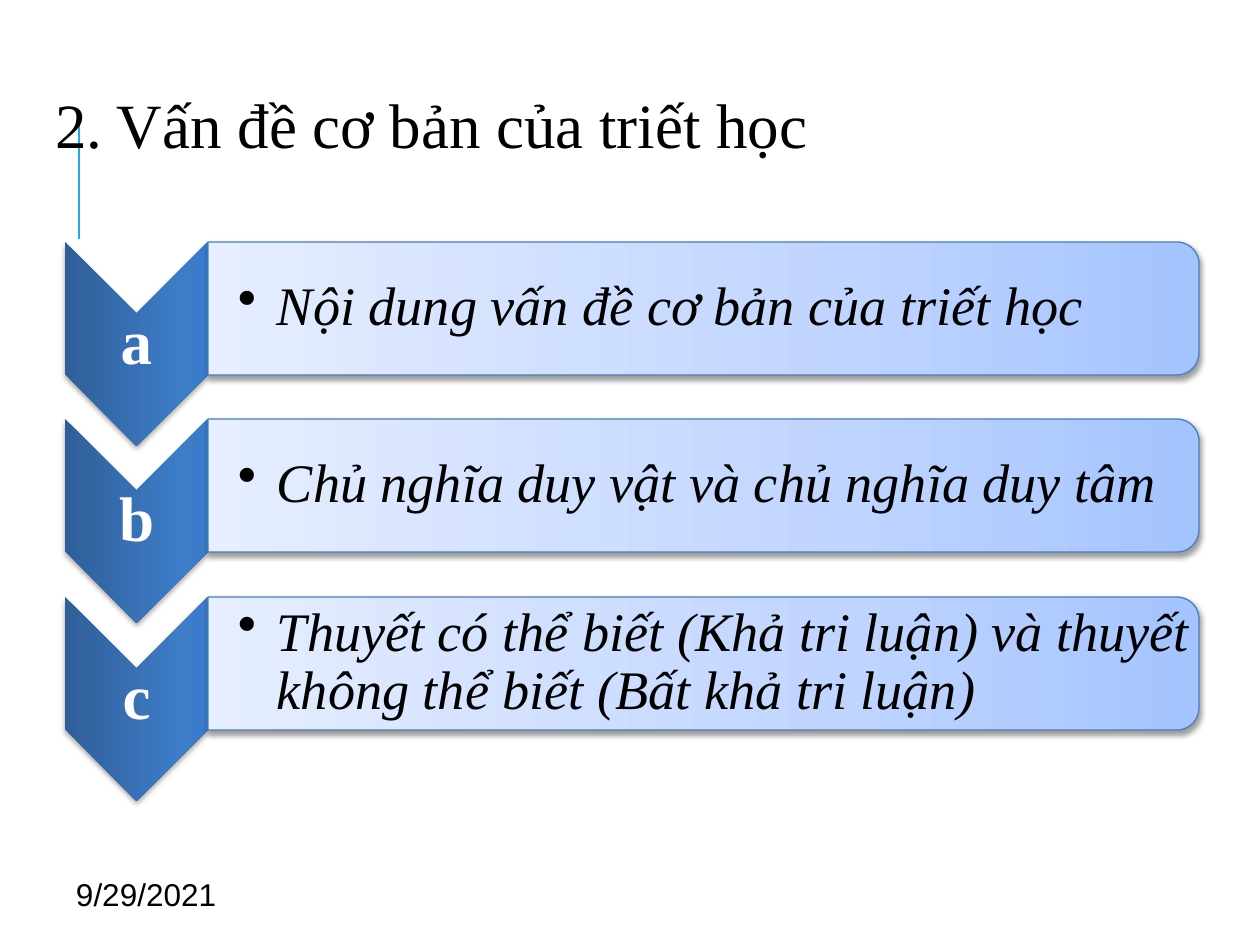
from lxml.etree import SubElement
from pptx import Presentation
from pptx.dml.color import RGBColor
from pptx.enum.shapes import MSO_CONNECTOR, MSO_SHAPE
from pptx.enum.text import MSO_ANCHOR, PP_ALIGN
from pptx.oxml import parse_xml
from pptx.oxml.ns import nsdecls, qn
from pptx.util import Pt

EMU_PER_PX = 914400 / 126
COLORS = {
    "text": "000000",
    "letter": "FFFFFF",
    "accent": "1CADE4",
    "bar_line": "4B7EBC",
    "shadow": "000000",
}
CHEVRON_STOPS = [(0, "2F5F99"), (80, "3D7CC7"), (100, "3A7CCB")]
BAR_STOPS = [(0, "A4C4FF"), (35, "BFD4FF"), (100, "E6EEFF")]
TOPICS = [
    ("a", "Nội dung vấn đề cơ bản của triết học"),
    ("b", "Chủ nghĩa duy vật và chủ nghĩa duy tâm"),
    ("c", "Thuyết có thể biết (Khả tri luận) và thuyết không thể biết (Bất khả tri luận)"),
]


def px(*lengths):
    return [round(length * EMU_PER_PX) for length in lengths]


class SlideBuilder:
    def __init__(self, slide, font="Times New Roman"):
        self.slide = slide
        self.font = font

    def line(self, x1, y1, x2, y2, color, width):
        connector = self.slide.shapes.add_connector(
            MSO_CONNECTOR.STRAIGHT, *px(x1, y1, x2, y2)
        )
        connector.line.color.rgb = RGBColor.from_string(COLORS[color])
        connector.line.width = Pt(width)
        SubElement(connector._element.spPr, qn("a:effectLst"))

    def text(self, box, text, size, color="text", font=None, bold=False, italic=False,
             align=PP_ALIGN.LEFT, margins=(13, 6, 13, 6), spacing=0.9, hanging=0):
        shape = self.slide.shapes.add_textbox(*px(*box))
        frame = shape.text_frame
        frame.word_wrap = True
        frame.vertical_anchor = MSO_ANCHOR.MIDDLE
        (frame.margin_left, frame.margin_top,
         frame.margin_right, frame.margin_bottom) = px(*margins)
        paragraph = frame.paragraphs[0]
        paragraph.text = text
        paragraph.alignment = align
        paragraph.line_spacing = spacing
        if hanging:
            indent = px(hanging)[0]
            properties = paragraph._p.get_or_add_pPr()
            properties.set("marL", str(indent))
            properties.set("indent", str(-indent))
            SubElement(properties, qn("a:buChar"), char="•")
        paragraph.font.name = font or self.font
        paragraph.font.size = Pt(size)
        paragraph.font.bold = bold
        paragraph.font.italic = italic
        paragraph.font.color.rgb = RGBColor.from_string(COLORS[color])

    def turned_shape(self, kind, box, stops, angle, shadow_alpha, line=None):
        left, top, width, height = box
        shift = (width - height) / 2
        shape = self.slide.shapes.add_shape(
            kind, *px(left + shift, top - shift, height, width)
        )
        shape.rotation = 90
        if line:
            shape.line.color.rgb = RGBColor.from_string(COLORS[line])
            shape.line.width = Pt(0.75)
        else:
            shape.line.fill.background()
        self.gradient(shape, stops, angle)
        self.shadow(shape, shadow_alpha)

    def gradient(self, shape, stops, angle):
        stop_xml = "".join(
            f'<a:gs pos="{position * 1000}"><a:srgbClr val="{color}"/></a:gs>'
            for position, color in stops
        )
        fill = parse_xml(
            f'<a:gradFill {nsdecls("a")} rotWithShape="1"><a:gsLst>{stop_xml}</a:gsLst>'
            f'<a:lin ang="{angle * 60000}" scaled="0"/></a:gradFill>'
        )
        shape._element.spPr.find(qn("a:prstGeom")).addnext(fill)

    def shadow(self, shape, alpha):
        shape.shadow.inherit = False
        effects = shape._element.spPr.find(qn("a:effectLst"))
        outer = SubElement(effects, qn("a:outerShdw"), blurRad="40000", dist="22000",
                           dir="5400000", rotWithShape="0")
        color = SubElement(outer, qn("a:srgbClr"), val=COLORS["shadow"])
        SubElement(color, qn("a:alpha"), val=str(alpha * 1000))

    def topic(self, top, letter, text):
        self.turned_shape(MSO_SHAPE.CHEVRON, (65, top, 143, 204), CHEVRON_STOPS, 270, 35)
        self.text((65, top + 71, 143, 62), letter, 36, "letter", bold=True,
                  align=PP_ALIGN.CENTER, margins=(4, 4, 4, 4))
        self.turned_shape(MSO_SHAPE.ROUND_2_SAME_RECTANGLE, (208, top, 991, 133),
                          BAR_STOPS, 90, 38, "bar_line")
        self.text((208, top + 6, 984, 120), text, 31, italic=True,
                  margins=(30, 2, 2, 2), hanging=39)


def main():
    presentation = Presentation()
    presentation.slide_width, presentation.slide_height = px(1260, 945)
    slide = presentation.slides.add_slide(presentation.slide_layouts[6])
    builder = SlideBuilder(slide)
    builder.line(79, 239, 79, 113, "accent", 1.5)
    builder.text((42, 42, 1239, 173), "2. Vấn đề cơ bản của triết học", 36)
    builder.text((63, 861, 294, 66), "9/29/2021", 18, font="Arial", spacing=1.0)
    for index, (letter, text) in enumerate(TOPICS):
        builder.topic(242 + index * 355 // 2, letter, text)
    presentation.save("out.pptx")


if __name__ == "__main__":
    main()
